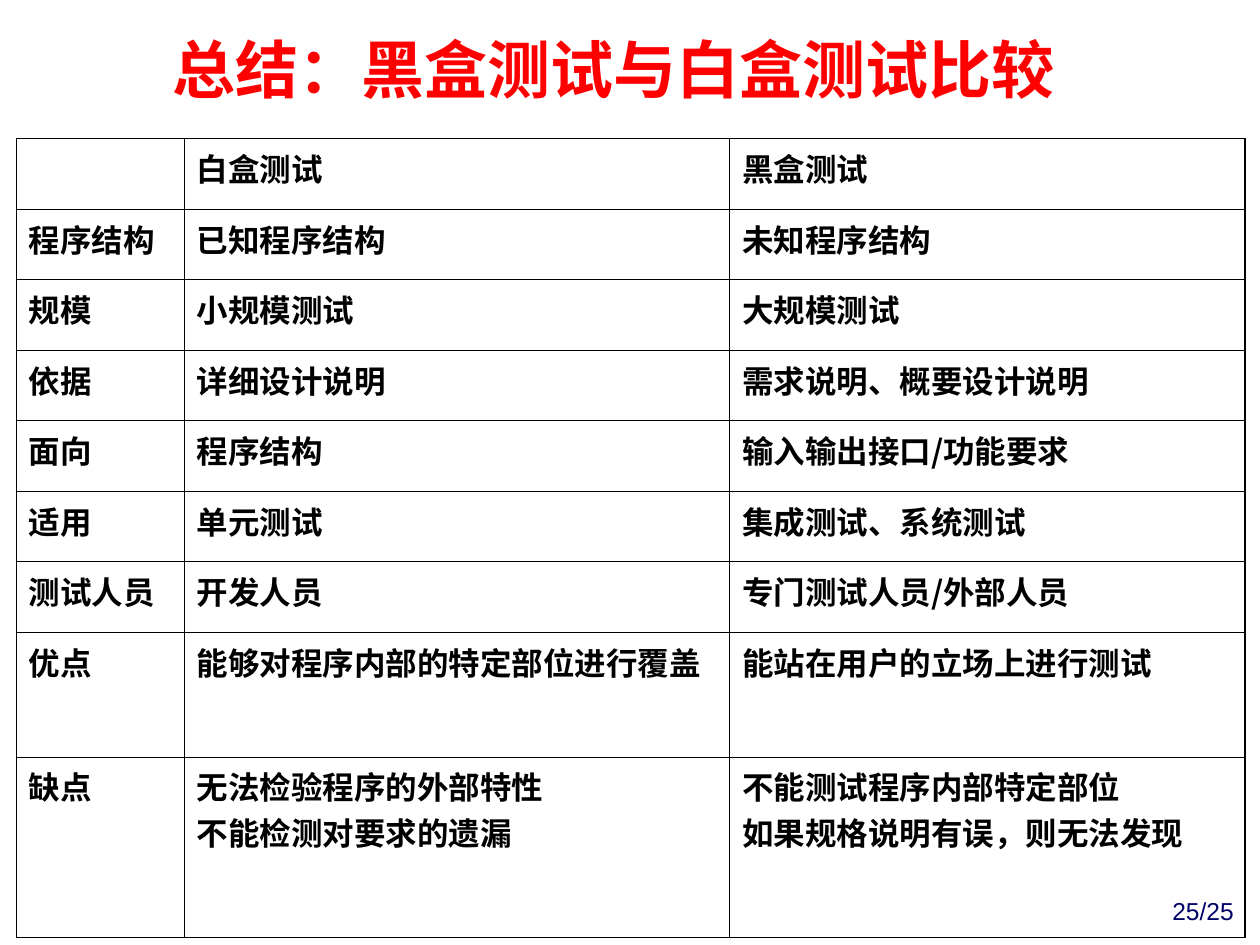
"""Build the slide that compares black-box and white-box testing."""
import pptx
import pptx.util
import pptx.dml.color
import pptx.enum.text
import pptx.oxml
import pptx.oxml.ns

Inches, Pt = pptx.util.Inches, pptx.util.Pt
PP_ALIGN, MSO_ANCHOR = pptx.enum.text.PP_ALIGN, pptx.enum.text.MSO_ANCHOR

TITLE = "总结：黑盒测试与白盒测试比较"
PAGE = "25/25"
ROWS = [
    ("", "白盒测试", "黑盒测试"),
    ("程序结构", "已知程序结构", "未知程序结构"),
    ("规模", "小规模测试", "大规模测试"),
    ("依据", "详细设计说明", "需求说明、概要设计说明"),
    ("面向", "程序结构", "输入输出接口/功能要求"),
    ("适用", "单元测试", "集成测试、系统测试"),
    ("测试人员", "开发人员", "专门测试人员/外部人员"),
    ("优点", "能够对程序内部的特定部位进行覆盖", "能站在用户的立场上进行测试"),
    ("缺点", "无法检验程序的外部特性\n不能检测对要求的遗漏",
     "不能测试程序内部特定部位\n如果规格说明有误，则无法发现"),
]
COL_WIDTHS = [1.33, 4.33, 4.09]
ROW_HEIGHTS = [0.56] * 7 + [0.99, 1.43]

THEME = {
    "title": {"size": 36, "color": "FF0000", "font": "Noto Sans CJK SC", "bold": True},
    "cell": {"size": 18, "color": "000000", "font": "Noto Sans CJK SC", "bold": True},
    "page": {"size": 14, "color": "000066", "font": "Arial", "bold": False},
    "border": "000000",
    "outer": 0.96,
    "inner": 0.45,
}


def add_text(tf, text, style, align):
    """Write each line of text as a paragraph in a theme style."""
    look = THEME[style]
    for i, line in enumerate(text.split("\n")):
        p = tf.paragraphs[0] if i == 0 else tf.add_paragraph()
        p.alignment = align
        r = p.add_run()
        r.text = line
        r.font.size = Pt(look["size"])
        r.font.bold = look["bold"]
        r.font.color.rgb = pptx.dml.color.RGBColor.from_string(look["color"])
        r.font.name = look["font"]
        ea = pptx.oxml.parse_xml(
            f'<a:ea {pptx.oxml.ns.nsdecls("a")} typeface="{look["font"]}"/>')
        r.font._element.append(ea)


def set_borders(cell, outer_sides):
    """Draw the four cell borders, heavier on the outer sides."""
    tc_pr = cell._tc.get_or_add_tcPr()
    for i, side in enumerate("LRTB"):
        width = Pt(THEME["outer"] if side in outer_sides else THEME["inner"])
        tc_pr.insert(i, pptx.oxml.parse_xml(
            f'<a:ln{side} {pptx.oxml.ns.nsdecls("a")} w="{width}"><a:solidFill>'
            f'<a:srgbClr val="{THEME["border"]}"/></a:solidFill></a:ln{side}>'))


def add_comparison(s):
    """Add the comparison table."""
    last_row, last_col = len(ROWS) - 1, len(COL_WIDTHS) - 1
    frame = s.shapes.add_table(
        len(ROWS), len(COL_WIDTHS), Inches(0.13), Inches(1.1),
        Inches(sum(COL_WIDTHS)), Inches(sum(ROW_HEIGHTS)))
    table = frame.table
    table.first_row = table.horz_banding = False
    for col, width in zip(table.columns, COL_WIDTHS):
        col.width = Inches(width)
    for y, (row, height) in enumerate(zip(ROWS, ROW_HEIGHTS)):
        table.rows[y].height = Inches(height)
        for x, text in enumerate(row):
            cell = table.cell(y, x)
            cell.fill.background()
            edges = {"L": x == 0, "R": x == last_col, "T": y == 0, "B": y == last_row}
            set_borders(cell, [side for side, outer in edges.items() if outer])
            if text:
                add_text(cell.text_frame, text, "cell", PP_ALIGN.LEFT)


def main():
    """Build and save the slide."""
    prs = pptx.Presentation()
    prs.slide_width, prs.slide_height = Inches(10), Inches(7.5)
    s = prs.slides.add_slide(prs.slide_layouts[5])

    title = s.shapes.title
    title.left, title.top = Inches(0.62), Inches(0.19)
    title.width, title.height = Inches(8.5), Inches(0.7)
    title.text_frame.vertical_anchor = MSO_ANCHOR.MIDDLE
    add_text(title.text_frame, TITLE, "title", PP_ALIGN.CENTER)

    page = s.shapes.add_textbox(Inches(9.1), Inches(7.06), Inches(0.79), Inches(0.32))
    page.text_frame.word_wrap = True
    add_text(page.text_frame, PAGE, "page", PP_ALIGN.RIGHT)

    add_comparison(s)
    prs.save("out.pptx")


if __name__ == "__main__":
    main()
